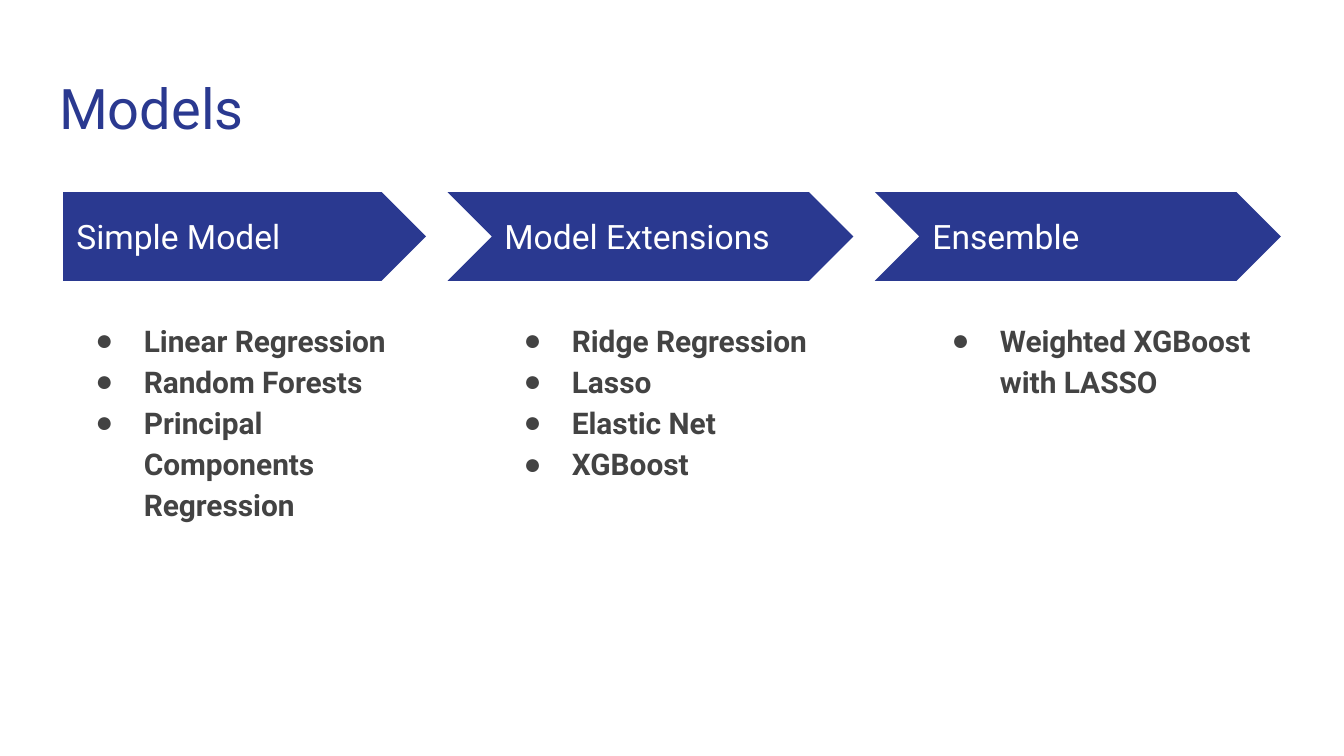
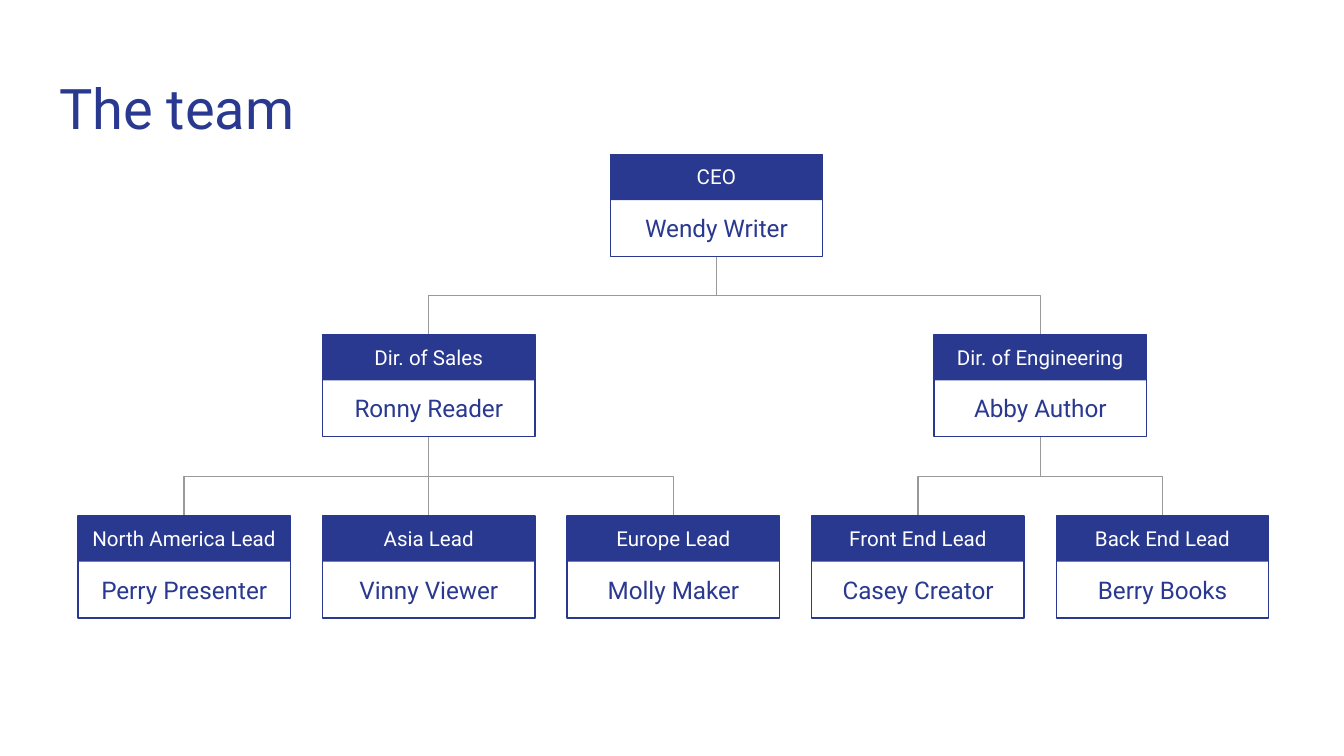
from dataclasses import dataclass

from lxml.etree import SubElement as Sub
from pptx import Presentation
from pptx.dml.color import RGBColor as Rgb
from pptx.enum.shapes import MSO_CONNECTOR as Link, MSO_SHAPE as Form
from pptx.enum.text import MSO_ANCHOR as Anchor, MSO_AUTO_SIZE as Auto, PP_ALIGN as Align
from pptx.oxml.ns import qn
from pptx.util import Inches, Pt

HUES = {"navy": "2A3990", "white": "FFFFFF", "ink": "434343", "gray": "999999"}
FONT = "Roboto"
LINE = 0.75

LEFT, LAST, WIDE = 0.47, 6.84, 2.7
STEP = (LAST - LEFT) / 2
ARROW_X, ARROW_STEP, ARROW_W = 0.15, 3.18, 3.02

CARD_X, CARD_STEP = 0.58, 1.82
CARD_W, CARD_H, BAND_H = 1.58, 0.76, 0.34
ROWS = (1.15, 2.49, 3.84)
CHIEF_X = 4.54


@dataclass(frozen=True)
class Box:
    x: float
    y: float
    w: float
    h: float

    def lengths(self) -> tuple:
        return tuple(Inches(n) for n in (self.x, self.y, self.w, self.h))


@dataclass(frozen=True)
class Style:
    size: float
    hue: str
    bold: bool = False
    align: Align = Align.LEFT
    anchor: Anchor = Anchor.TOP
    side: float = 0.1
    space: float = 1.0
    bullet: bool = False


@dataclass(frozen=True)
class Stage:
    name: str
    items: tuple


@dataclass(frozen=True)
class Person:
    role: str
    name: str
    slot: float
    team: tuple = ()


TITLE = Style(30, "navy")
HEAD = Style(18, "white", anchor=Anchor.MIDDLE)
LIST = Style(16, "ink", bold=True, space=1.15, bullet=True)
ROLE = Style(11, "white", align=Align.CENTER, anchor=Anchor.MIDDLE, side=0.05)
NAME = Style(13, "navy", align=Align.CENTER, anchor=Anchor.MIDDLE, side=0.05)

STAGES = (
    Stage("Simple Model", ("Linear Regression", "Random Forests",
                           "Principal Components Regression")),
    Stage("Model Extensions", ("Ridge Regression", "Lasso", "Elastic Net", "XGBoost")),
    Stage("Ensemble", ("Weighted XGBoost with LASSO",)),
)

CHIEF = Person("CEO", "Wendy Writer", (CHIEF_X - CARD_X) / CARD_STEP, (
    Person("Dir. of Sales", "Ronny Reader", 1, (
        Person("North America Lead", "Perry Presenter", 0),
        Person("Asia Lead", "Vinny Viewer", 1),
        Person("Europe Lead", "Molly Maker", 2),
    )),
    Person("Dir. of Engineering", "Abby Author", 3.5, (
        Person("Front End Lead", "Casey Creator", 3),
        Person("Back End Lead", "Berry Books", 4),
    )),
))


def apply(thing, values: dict) -> None:
    for key, value in values.items():
        setattr(thing, key, value)


def tint(hue: str) -> Rgb:
    return Rgb.from_string(HUES[hue])


def place(shape, box: Box) -> None:
    apply(shape, dict(zip(("left", "top", "width", "height"), box.lengths())))


def add_dot(para, hue: str) -> None:
    props = para._p.get_or_add_pPr()
    props.set("marL", str(Inches(0.5)))
    props.set("indent", str(Inches(-0.36)))
    Sub(Sub(props, qn("a:buClr")), qn("a:srgbClr")).set("val", HUES[hue])
    Sub(props, qn("a:buChar")).set("char", "●")


def write(shape, lines: tuple, style: Style) -> None:
    frame = shape.text_frame
    apply(frame, {
        "word_wrap": True, "auto_size": Auto.NONE, "vertical_anchor": style.anchor,
        "margin_left": Inches(style.side), "margin_right": Inches(style.side),
        "margin_top": Inches(0.1), "margin_bottom": Inches(0.1),
    })
    for n, line in enumerate(lines):
        para = frame.add_paragraph() if n else frame.paragraphs[0]
        apply(para, {"alignment": style.align, "line_spacing": style.space,
                     "space_before": Pt(0), "space_after": Pt(0)})
        if style.bullet:
            add_dot(para, style.hue)
        run = para.add_run()
        run.text = line
        apply(run.font, {"name": FONT, "size": Pt(style.size), "bold": style.bold})
        run.font.color.rgb = tint(style.hue)


def add_text(slide, box: Box, line: str, style: Style) -> None:
    write(slide.shapes.add_textbox(*box.lengths()), (line,), style)


def add_form(slide, form: Form, box: Box, fill: str = "", edge: str = "") -> None:
    shape = slide.shapes.add_shape(form, *box.lengths())
    shape.shadow.inherit = False
    if fill:
        shape.fill.solid()
        shape.fill.fore_color.rgb = tint(fill)
    else:
        shape.fill.background()
    if edge:
        shape.line.color.rgb = tint(edge)
        shape.line.width = Pt(LINE)
    else:
        shape.line.fill.background()


def add_link(slide, x: float, top: float, goal: float, base: float) -> None:
    if x == goal:
        kind, turn, ends = Link.STRAIGHT, 0, (x, top, x, base)
    else:
        mid_x, mid_y = (x + goal) / 2, (top + base) / 2
        half, reach = (base - top) / 2, abs(goal - x) / 2
        side = 1 if goal < x else -1
        kind, turn = Link.ELBOW, 90 if side > 0 else 270
        ends = (mid_x - side * half, mid_y - reach, mid_x + side * half, mid_y + reach)
    link = slide.shapes.add_connector(kind, *(Inches(n) for n in ends))
    link.line.color.rgb = tint("gray")
    link.line.width = Pt(LINE)
    props = link._element.spPr
    if turn:
        props.find(qn("a:xfrm")).set("rot", str(turn * 60000))
    Sub(props, qn("a:effectLst"))


def add_slide(deck, layout: str, title: str):
    slide = deck.slides.add_slide(deck.slide_layouts.get_by_name(layout))
    head = slide.shapes.title
    place(head, Box(0.34, 0.45, 9.32, 0.66))
    write(head, (title,), TITLE)
    return slide


def add_stage(slide, n: int, stage: Stage, body) -> None:
    x = LEFT + n * STEP
    if n:
        arrow = Box(ARROW_X + n * ARROW_STEP, 1.43, ARROW_W, 0.66)
        add_form(slide, Form.CHEVRON, arrow, fill="navy")
    else:
        add_form(slide, Form.PENTAGON, Box(x, 1.43, WIDE, 0.66), fill="navy")
    add_text(slide, Box(x, 1.59, 2.47, 0.34), stage.name, HEAD)
    place(body, Box(x, 2.26, WIDE, 2.9))
    write(body, stage.items, LIST)


def add_person(slide, person: Person, level: int = 0) -> None:
    x, y = CARD_X + person.slot * CARD_STEP, ROWS[level]
    add_form(slide, Form.RECTANGLE, Box(x, y, CARD_W, CARD_H), edge="navy")
    add_form(slide, Form.RECTANGLE, Box(x, y, CARD_W, BAND_H), fill="navy")
    add_text(slide, Box(x, y + 0.06, CARD_W, 0.21), person.role, ROLE)
    add_text(slide, Box(x, y + 0.44, CARD_W, 0.21), person.name, NAME)
    for mate in person.team:
        goal = CARD_X + mate.slot * CARD_STEP
        add_link(slide, x + CARD_W / 2, y + CARD_H, goal + CARD_W / 2, ROWS[level + 1])
    for mate in person.team:
        add_person(slide, mate, level + 1)


def main() -> None:
    deck = Presentation()
    wide = Inches(10)
    apply(deck, {"slide_width": wide, "slide_height": wide * 9 // 16})

    models = add_slide(deck, "Comparison", "Models")
    bodies = [p for p in models.placeholders if p.placeholder_format.idx]
    for n, (stage, body) in enumerate(zip(STAGES, bodies)):
        add_stage(models, n, stage, body)
    for spare in bodies[len(STAGES):]:
        spare._element.getparent().remove(spare._element)

    add_person(add_slide(deck, "Title Only", "The team"), CHIEF)
    deck.save("out.pptx")


main()
